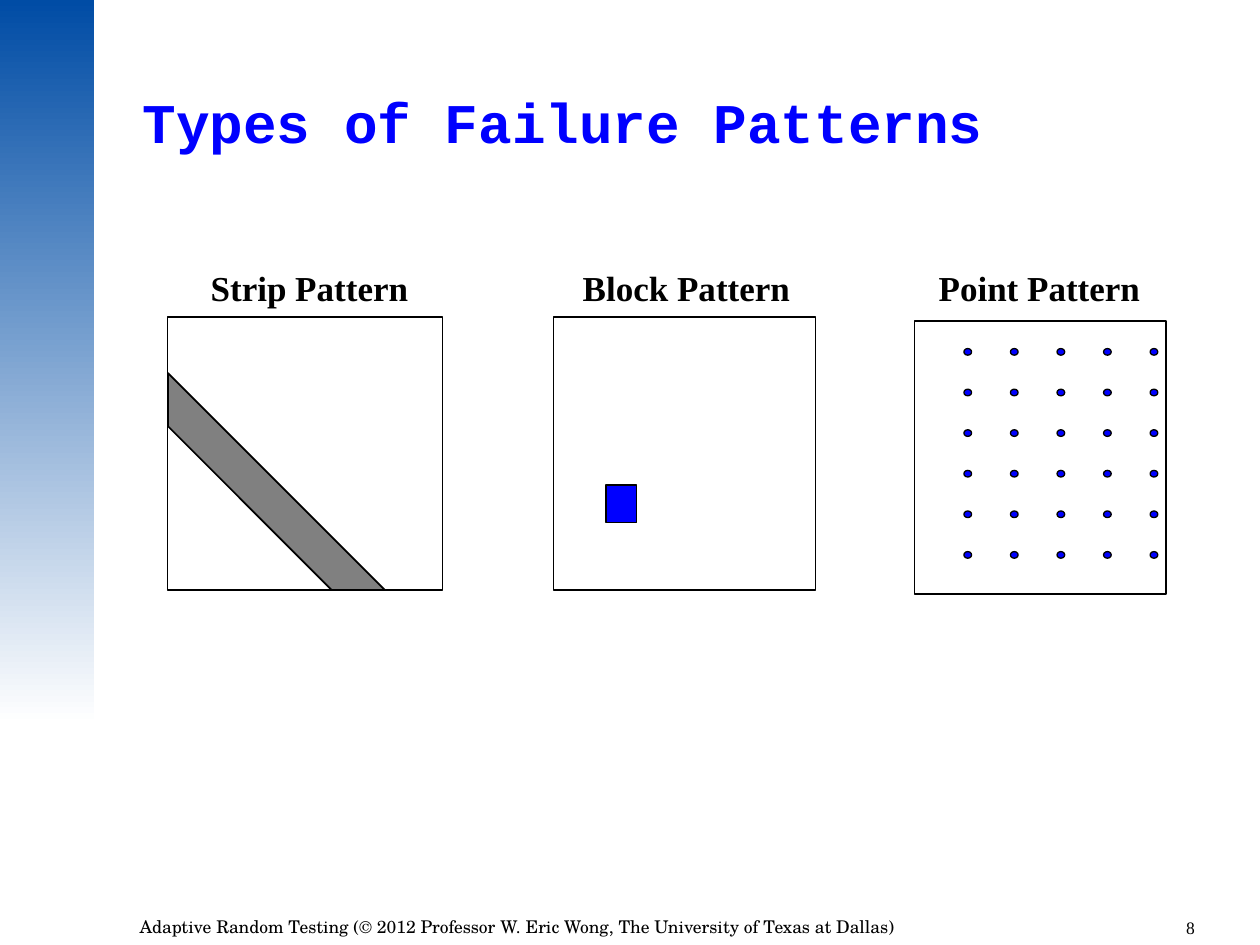
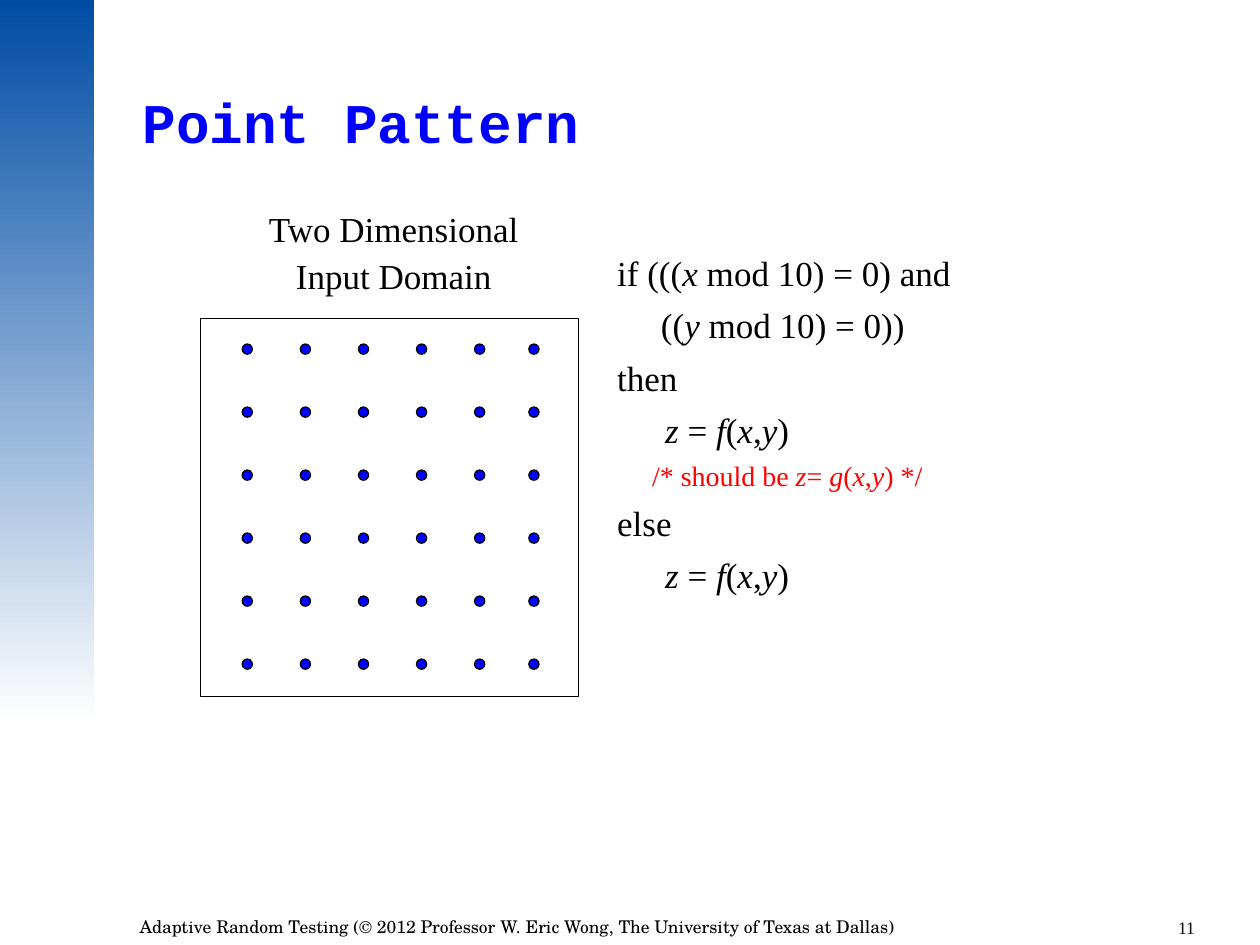
"""Build two slides on failure patterns in adaptive random testing."""
from pptx import Presentation
from pptx.dml.color import RGBColor
from pptx.enum.shapes import MSO_SHAPE as Shape
from pptx.enum.text import MSO_ANCHOR as Anchor, PP_ALIGN as Align
from pptx.util import Pt

colour = RGBColor.from_string
BLUE, BLACK, RED, GREY, WHITE = "0000FF", "000000", "FF0000", "808080", "FFFFFF"
BAND_TOP = "004CA5"
SERIF, MONO, FOOTER_FONT = "Times New Roman", "Courier New", "TeX Gyre Schola"
FOOTER = "Adaptive Random Testing (© 2012 Professor W. Eric Wong, The University of Texas at Dallas)"


def add_text(page, place, lines, size=20, font=SERIF, ink=BLACK, bold=False,
             align=Align.LEFT, anchor=Anchor.TOP, spacing=None, margins=(7.2, 3.6)):
    """Add a text box; each line is a dict whose runs alternate plain and italic."""
    frame = page.shapes.add_textbox(*map(Pt, place)).text_frame
    frame.word_wrap = True
    frame.vertical_anchor = anchor
    frame.margin_left = frame.margin_right = Pt(margins[0])
    frame.margin_top = frame.margin_bottom = Pt(margins[1])
    for index, line in enumerate(lines):
        para = frame.add_paragraph() if index else frame.paragraphs[0]
        para.alignment = align
        if spacing:
            para.line_spacing = spacing
        if index:
            para.space_before = Pt(line.get("before", 5.75))
        if "indent" in line:
            para._p.get_or_add_pPr().set("marL", str(Pt(line["indent"])))
        for position, words in enumerate(line["runs"]):
            if words:
                span = para.add_run()
                span.text = words
                span.font.name = font
                span.font.size = Pt(line.get("size", size))
                span.font.bold = bold
                span.font.italic = position % 2 == 1
                span.font.color.rgb = colour(line.get("ink", ink))


def add_figure(page, kind, place, fill=None, width=0.75):
    """Add a black-outlined preset shape, hollow unless a fill is given."""
    figure = page.shapes.add_shape(kind, *map(Pt, place))
    figure.shadow.inherit = False
    if fill:
        figure.fill.solid()
        figure.fill.fore_color.rgb = colour(fill)
    else:
        figure.fill.background()
    figure.line.color.rgb = colour(BLACK)
    figure.line.width = Pt(width)


deck = Presentation()
deck.slide_width, deck.slide_height = Pt(720), Pt(540)
pages = []
for title, number in (("Types of Failure Patterns", "8"), ("Point Pattern", "11")):
    page = deck.slides.add_slide(deck.slide_layouts[6])
    pages.append(page)
    band = page.shapes.add_shape(Shape.RECTANGLE, 0, 0, Pt(54), Pt(414))
    band.shadow.inherit = False
    band.line.fill.background()
    band.fill.gradient()
    band.fill.gradient_angle = 270
    for stop, shade, offset in zip(band.fill.gradient_stops, (BAND_TOP, WHITE), (0, 1)):
        stop.color.rgb = colour(shade)
        stop.position = offset
    add_text(page, (81.4, 50.4, 610.6, 42.5), [{"runs": [title]}], 32, MONO, BLUE, True,
             anchor=Anchor.MIDDLE, spacing=0.9, margins=(0, 0))
    add_text(page, (72.7, 519.8, 567.4, 20.2), [{"runs": [FOOTER]}], 10, FOOTER_FONT)
    add_text(page, (648, 520.6, 41.8, 21.6), [{"runs": [number]}], 10, align=Align.RIGHT)

types_page, point_page = pages

patterns = (
    ("Strip Pattern", 176.9, (95.8, 181.2, 157, 156)),
    ("Block Pattern", 392.3, (316.4, 181.2, 149.8, 156)),
    ("Point Pattern", 594, (522.4, 183.4, 144, 156)),
)
for label, centre, domain in patterns:
    add_figure(types_page, Shape.RECTANGLE, domain, WHITE)
    add_text(types_page, (centre - 80, 144, 160, 36), [{"runs": [label]}], bold=True,
             align=Align.CENTER, anchor=Anchor.BOTTOM)

outline = types_page.shapes.build_freeform(Pt(96), Pt(213.2))
outline.add_line_segments([(Pt(x), Pt(y)) for x, y in ((220, 337.2), (189.6, 337.2), (96, 243.6))])
strip = outline.convert_to_shape()
strip.shadow.inherit = False
strip.fill.solid()
strip.fill.fore_color.rgb = colour(GREY)
strip.line.color.rgb = colour(BLACK)
strip.line.width = Pt(1)

add_figure(types_page, Shape.RECTANGLE, (346.4, 277.2, 17.4, 21.4), BLUE)

add_text(point_page, (105.1, 117.5, 239.8, 56.9),
         [{"runs": ["Two Dimensional"]}, {"runs": ["Input Domain"]}],
         align=Align.CENTER, spacing=0.9)
add_figure(point_page, Shape.RECTANGLE, (114.5, 181.8, 216, 216), width=0.37)

grids = (
    (types_page, [550.8 + 26.6 * column for column in range(5)], 199.2, 23.2, (4.4, 3.8)),
    (point_page, [138.4 + 33.2 * column for column in range(5)] + [302.2], 196.6, 36, (5.8, 5.8)),
)
for page, lefts, top, pitch, dot_size in grids:
    for row in range(6):
        for left in lefts:
            add_figure(page, Shape.OVAL, (left, top + pitch * row, *dot_size), BLUE)

assignment = {"runs": ["", "z", " = ", "f", "(", "x", ",", "y", ")"], "indent": 27.4}
code = [
    {"runs": ["if (((", "x", " mod 10) = 0) and"]},
    {"runs": ["((", "y", " mod 10) = 0))"], "indent": 25},
    {"runs": ["then"]},
    assignment,
    {"runs": ["/* should be ", "z", "= ", "g", "(", "x", ",", "y", ") */"],
     "indent": 20, "size": 16, "ink": RED, "before": 4.6},
    {"runs": ["else"]},
    assignment,
]
add_text(point_page, (345.6, 140.4, 370, 247), code)

deck.save("out.pptx")
